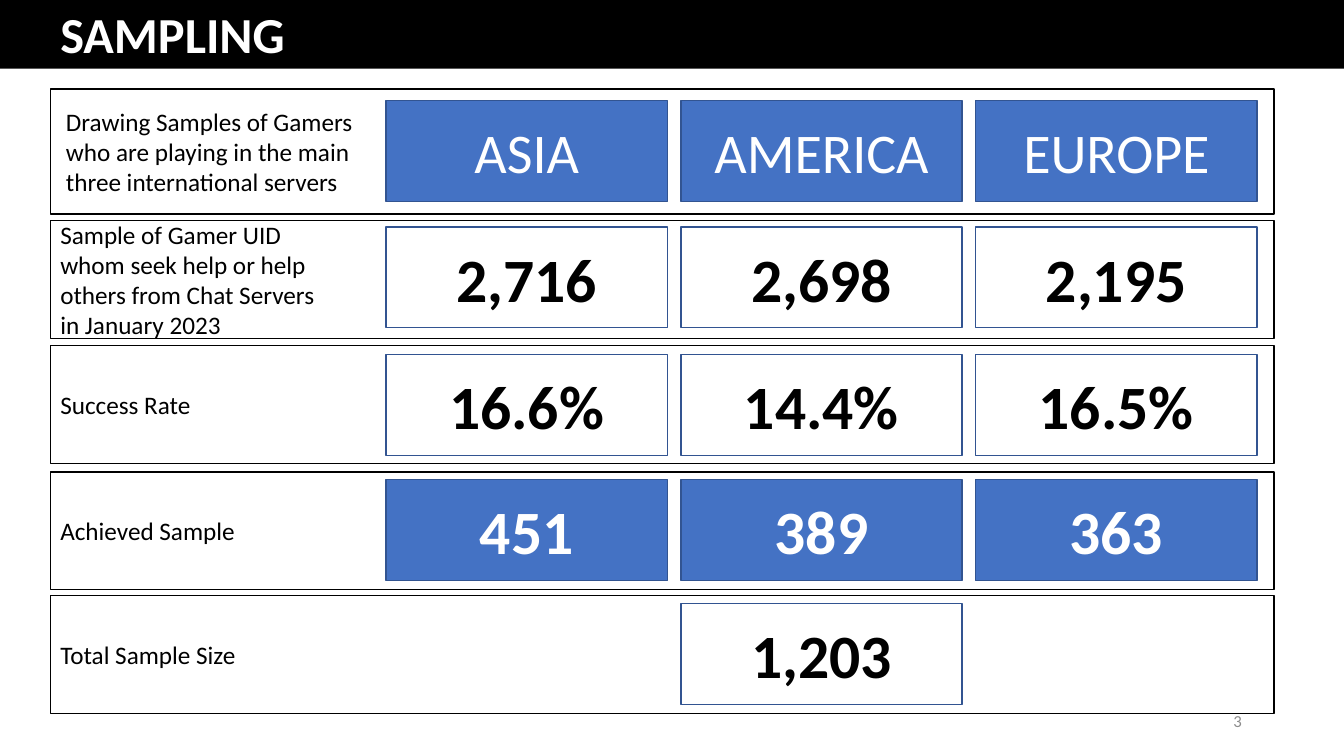
import pptx
import pptx.dml.color
import pptx.enum.shapes
import pptx.enum.text
import pptx.util

Cm = pptx.util.Cm
ALIGN = pptx.enum.text.PP_ALIGN

BLACK, WHITE, GREY = "000000", "FFFFFF", "8C8C8C"
BLUE, NAVY = "4472C4", "325491"

FRAME_LEFT, FRAME_WIDTH = 1.27, 30.84
CELL_LEFT, CELL_STEP, CELL_WIDTH, CELL_HEIGHT = 9.73, 7.43, 7.09, 2.54

HEADING = dict(fill=BLUE, size=40, color=WHITE, bold=False)
FIGURE = dict(fill=None, size=44, color=BLACK, bold=True)
RESULT = dict(fill=BLUE, size=44, color=WHITE, bold=True)

ROWS = [
    (2.24, 3.15, 2.54, HEADING,
     [" Drawing Samples of Gamers", " who are playing in the main",
      " three international servers"],
     ["ASIA", "AMERICA", "EUROPE"]),
    (5.56, 2.97, 5.72, FIGURE,
     ["Sample of Gamer UID", "whom seek help or help",
      "others from Chat Servers", "in January 2023"],
     ["2,716", "2,698", "2,195"]),
    (8.71, 2.97, 8.94, FIGURE, ["Success Rate"], ["16.6%", "14.4%", "16.5%"]),
    (11.89, 2.97, 12.09, RESULT, ["Achieved Sample"], ["451", "389", "363"]),
    (15.01, 2.97, 15.21, FIGURE, ["Total Sample Size"], [None, "1,203", None]),
]


def rgb(code):
    """Return the colour for a hex string."""
    return pptx.dml.color.RGBColor.from_string(code)


def write(box, lines, size=18, color=BLACK, bold=False, align=ALIGN.LEFT):
    """Write one paragraph per line, centred vertically in the box."""
    frame = box.text_frame
    frame.word_wrap = True
    frame.vertical_anchor = pptx.enum.text.MSO_ANCHOR.MIDDLE
    for index, line in enumerate(lines):
        para = frame.paragraphs[0] if index == 0 else frame.add_paragraph()
        para.alignment = align
        span = para.add_run()
        span.text = line
        span.font.name = "Calibri"
        span.font.size = pptx.util.Pt(size)
        span.font.bold = bold
        span.font.color.rgb = rgb(color)


def add_box(page, left, top, width, height, fill=None, line=None):
    """Add a rectangle with optional fill and outline."""
    box = page.shapes.add_shape(
        pptx.enum.shapes.MSO_SHAPE.RECTANGLE,
        Cm(left), Cm(top), Cm(width), Cm(height))
    box.shadow.inherit = False
    if fill:
        box.fill.solid()
        box.fill.fore_color.rgb = rgb(fill)
    else:
        box.fill.background()
    if line:
        box.line.color.rgb = rgb(line)
        box.line.width = pptx.util.Pt(1)
    else:
        box.line.fill.background()
    return box


def add_title(page, text):
    """Add the black title band."""
    band = add_box(page, 0, -0.05, 33.87, 1.78, fill=BLACK)
    write(band, [text], size=36, color=WHITE, bold=True)
    band.text_frame.margin_left = Cm(1.52)


def add_row(page, top, height, cell_top, style, label, values):
    """Add a labelled frame and its row of value cells."""
    frame = add_box(page, FRAME_LEFT, top, FRAME_WIDTH, height, line=BLACK)
    write(frame, label)
    for column, value in enumerate(values):
        if value:
            cell = add_box(page, CELL_LEFT + column * CELL_STEP, cell_top,
                           CELL_WIDTH, CELL_HEIGHT, fill=style["fill"], line=NAVY)
            write(cell, [value], size=style["size"], color=style["color"],
                  bold=style["bold"], align=ALIGN.CENTER)


def add_page_number(page, text):
    """Add the grey page number at the bottom right."""
    box = page.shapes.add_textbox(Cm(23.93), Cm(17.65), Cm(7.62), Cm(1.02))
    write(box, [text], size=12, color=GREY, align=ALIGN.RIGHT)


def main():
    """Build the sampling slide and save it."""
    deck = pptx.Presentation()
    deck.slide_width, deck.slide_height = Cm(33.87), Cm(19.05)
    page = deck.slides.add_slide(deck.slide_layouts[6])
    add_page_number(page, "3")
    add_title(page, "SAMPLING")
    for row in ROWS:
        add_row(page, *row)
    deck.save("out.pptx")


if __name__ == "__main__":
    main()
